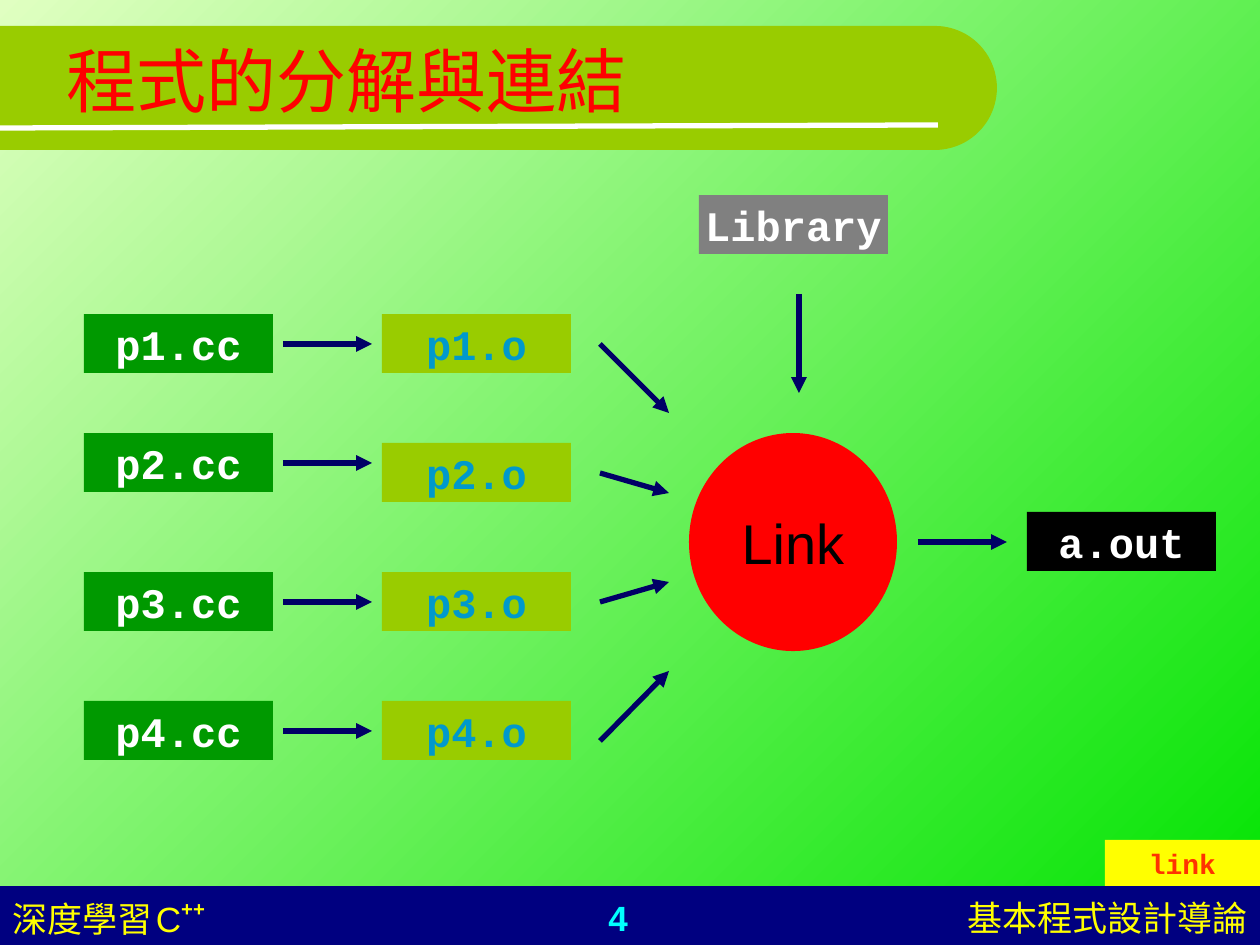
from math import cos, pi, sin

from lxml.etree import SubElement
from pptx import Presentation
from pptx.dml.color import RGBColor
from pptx.enum.shapes import MSO_CONNECTOR, MSO_SHAPE
from pptx.enum.text import MSO_ANCHOR, MSO_AUTO_SIZE, PP_ALIGN
from pptx.oxml.ns import qn
from pptx.util import Pt

EMU_PER_PX = 914400 / 126

WHITE = RGBColor(0xFF, 0xFF, 0xFF)
BLACK = RGBColor(0, 0, 0)
RED = RGBColor(0xFF, 0, 0)
ORANGE_RED = RGBColor(0xFF, 0x33, 0)
YELLOW = RGBColor(0xFF, 0xFF, 0)
CYAN = RGBColor(0, 0xFF, 0xFF)
BLUE = RGBColor(0, 0x99, 0xCC)
NAVY = RGBColor(0, 0, 0x80)
ARROW_NAVY = RGBColor(0, 0, 0x66)
GREEN = RGBColor(0, 0x99, 0)
LIME = RGBColor(0x99, 0xCC, 0)
GRAY = RGBColor(0x80, 0x80, 0x80)
PALE_GREEN = RGBColor(0xE0, 0xFF, 0xC1)
BRIGHT_GREEN = RGBColor(0, 0xE4, 0)

TITLE = "程式的分解與連結"
# name, top of source box, top of object box, start and end height of link arrow
MODULES = [
    ("p1", 314, 314, 344, 413),
    ("p2", 433, 443, 473, 493),
    ("p3", 572, 572, 602, 582),
    ("p4", 701, 701, 741, 671),
]
BOX_WIDTH, BOX_HEIGHT = 189, 59
SOURCE_LEFT, OBJECT_LEFT = 84, 382
# text, left, top, fill
OTHER_BOXES = [("a.out", 1027, 512, BLACK), ("Library", 699, 195, GRAY)]
OTHER_ARROWS = [(918, 542, 1007, 542), (799, 294, 799, 393)]
# runs (text, size), left, width, alignment, colour, bold
FOOTERS = [
    ([("4", 20)], 471, 294, PP_ALIGN.CENTER, CYAN, True),
    ([("基本程式設計導論", 20)], 828, 432, PP_ALIGN.RIGHT, YELLOW, False),
    ([("深度學習", 20), (" ", 8), ("C", 20), ("++", 20)], 0, 294,
     PP_ALIGN.LEFT, YELLOW, False),
]


def px(*lengths):
    return [round(length * EMU_PER_PX) for length in lengths]


def style_paragraph(paragraph, size, color, font_name="Arial", bold=False,
                    alignment=PP_ALIGN.CENTER):
    paragraph.alignment = alignment
    font = paragraph.font
    font.name, font.size, font.bold = font_name, Pt(size), bold
    font.color.rgb = color


def paint(shape, fill):
    shape.shadow.inherit = False
    shape.fill.solid()
    shape.fill.fore_color.rgb = fill
    shape.line.fill.background()


def add_block(slide, kind, left, top, width, height, fill):
    shape = slide.shapes.add_shape(kind, *px(left, top, width, height))
    paint(shape, fill)
    return shape


def add_label(shape, text, size, color, font_name="Courier New", bold=True):
    frame = shape.text_frame
    frame.word_wrap = False
    frame.vertical_anchor = MSO_ANCHOR.MIDDLE
    frame.text = text
    style_paragraph(frame.paragraphs[0], size, color, font_name, bold)


def add_box(slide, text, left, top, fill, color=WHITE):
    box = add_block(slide, MSO_SHAPE.RECTANGLE, left, top,
                    BOX_WIDTH, BOX_HEIGHT, fill)
    add_label(box, text, 24, color)


def add_line(slide, ends, color, arrow=True):
    line = slide.shapes.add_connector(MSO_CONNECTOR.STRAIGHT, *px(*ends))
    line.line.color.rgb = color
    line.line.width = Pt(3)
    if arrow:
        SubElement(line.line._get_or_add_ln(), qn("a:tailEnd"), type="triangle")
    SubElement(line._element.spPr, qn("a:effectLst"))


def add_banner(slide):
    """Bar from the left edge of the slide, closed by a half circle."""
    center_x, center_y, radius, steps = 935, 88, 62, 48
    angles = [pi * (step / steps - 0.5) for step in range(steps + 1)]
    arc = [(center_x + radius * cos(angle), center_y + radius * sin(angle))
           for angle in angles]
    builder = slide.shapes.build_freeform(*px(0, center_y - radius))
    builder.add_line_segments([px(*point) for point in
                               arc + [(0, center_y + radius)]])
    paint(builder.convert_to_shape(), LIME)
    add_line(slide, (0, 128, 938, 125), WHITE, arrow=False)


def add_footer(slide, runs, left, width, alignment, color, bold):
    box = slide.shapes.add_textbox(*px(left, 890, width, 55))
    box.text_frame.word_wrap = True
    paragraph = box.text_frame.paragraphs[0]
    style_paragraph(paragraph, 20, color, bold=bold, alignment=alignment)
    for text, size in runs:
        run = paragraph.add_run()
        run.text = text
        run.font.size = Pt(size)
        if text == "++":
            run.font.bold = True
            run._r.get_or_add_rPr().set("baseline", "46000")


def add_title(slide):
    title = slide.shapes.title
    title.left, title.top, title.width, title.height = px(54, 0, 1134, 158)
    frame = title.text_frame
    frame.text = TITLE
    frame.auto_size = MSO_AUTO_SIZE.NONE
    frame.vertical_anchor = MSO_ANCHOR.MIDDLE
    style_paragraph(frame.paragraphs[0], 40, RED, alignment=PP_ALIGN.LEFT)
    slide.shapes._spTree.append(title._element)  # in front of the banner


def add_diagram(slide):
    for name, source_top, object_top, start_y, end_y in MODULES:
        add_box(slide, name + ".cc", SOURCE_LEFT, source_top, GREEN)
        add_box(slide, name + ".o", OBJECT_LEFT, object_top, LIME, BLUE)
        middle = source_top + 30
        add_line(slide, (283, middle, 372, middle), ARROW_NAVY)
        add_line(slide, (600, start_y, 669, end_y), ARROW_NAVY)
    for box in OTHER_BOXES:
        add_box(slide, *box)
    for ends in OTHER_ARROWS:
        add_line(slide, ends, ARROW_NAVY)
    linker = add_block(slide, MSO_SHAPE.OVAL, 689, 433, 208, 218, RED)
    add_label(linker, "Link", 32, BLACK, "Arial", False)


def main():
    presentation = Presentation()
    presentation.slide_width, presentation.slide_height = px(1260, 945)
    slide = presentation.slides.add_slide(presentation.slide_layouts[5])

    background = slide.background.fill
    background.gradient()
    background.gradient_angle = 315
    for stop, color in zip(background.gradient_stops, (PALE_GREEN, BRIGHT_GREEN)):
        stop.color.rgb = color

    add_block(slide, MSO_SHAPE.RECTANGLE, 0, 886, 1260, 59, NAVY)
    add_banner(slide)
    for footer in FOOTERS:
        add_footer(slide, *footer)
    add_title(slide)
    add_diagram(slide)
    tag = add_block(slide, MSO_SHAPE.RECTANGLE, 1105, 840, 155, 46, YELLOW)
    add_label(tag, "link", 16, ORANGE_RED)
    presentation.save("out.pptx")


if __name__ == "__main__":
    main()
